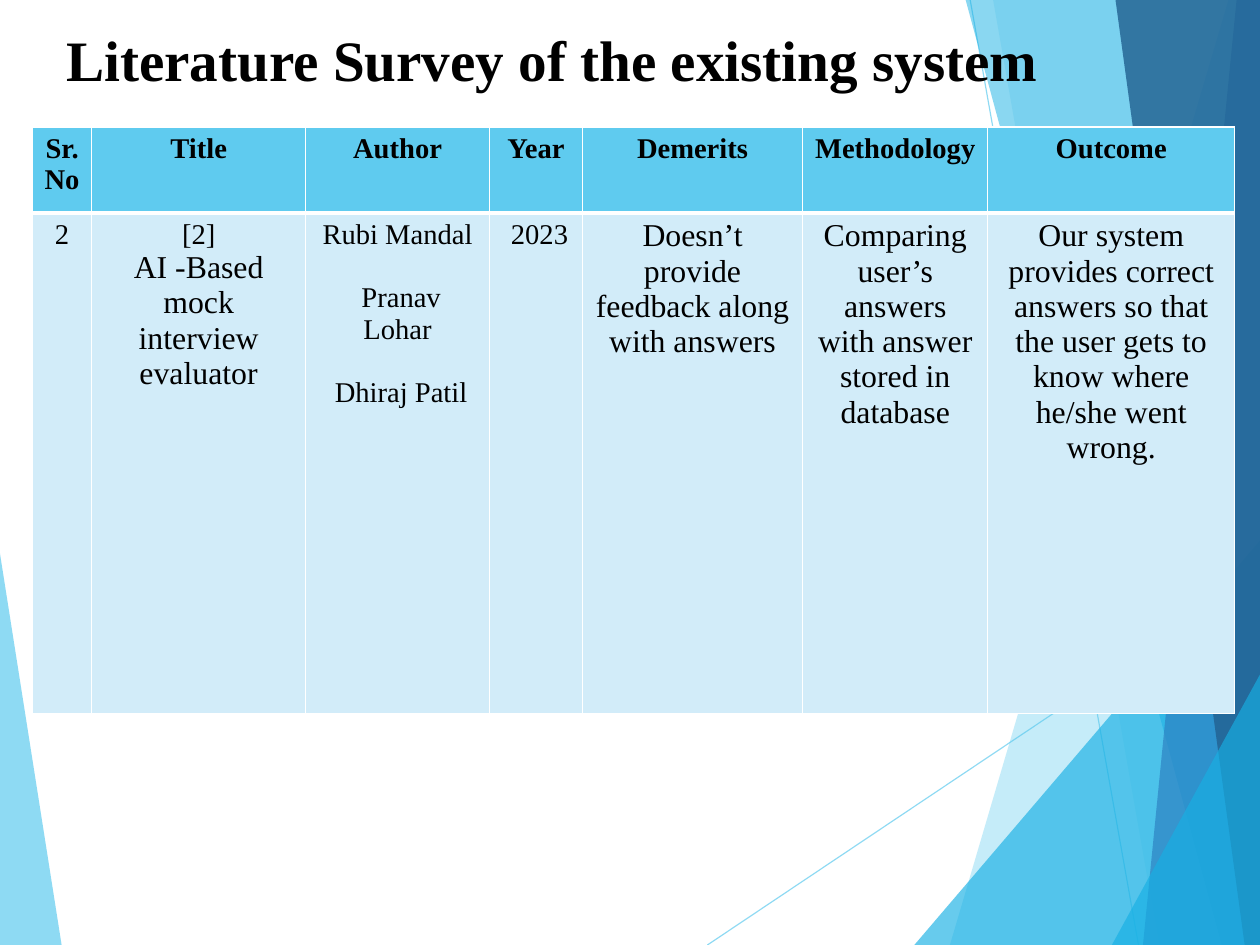
from lxml import etree
from pptx import Presentation
from pptx.dml.color import RGBColor
from pptx.enum.shapes import MSO_CONNECTOR
from pptx.enum.text import MSO_ANCHOR, MSO_AUTO_SIZE, PP_ALIGN
from pptx.oxml.ns import qn
from pptx.util import Cm, Pt

STRAIGHT = MSO_CONNECTOR.STRAIGHT
MIDDLE, TOP = MSO_ANCHOR.MIDDLE, MSO_ANCHOR.TOP
LEFT, CENTER = PP_ALIGN.LEFT, PP_ALIGN.CENTER
NO_AUTOFIT = MSO_AUTO_SIZE.NONE

BLACK = RGBColor(0x00, 0x00, 0x00)
WHITE = RGBColor(0xFF, 0xFF, 0xFF)
SKY = RGBColor(0x5F, 0xCB, 0xEF)
PALE_SKY = RGBColor(0xD2, 0xEC, 0xF9)
CYAN = RGBColor(0x17, 0xB0, 0xE4)
BLUE = RGBColor(0x2E, 0x83, 0xC3)
NAVY = RGBColor(0x23, 0x62, 0x92)

FONT = "Times New Roman"
WIDTH, HEIGHT = 28, 21  # slide size in cm


def write(paragraph, text, size=18, bold=False, align=CENTER, spacing=None, before=0):
    paragraph.text = text
    paragraph.alignment = align
    paragraph.space_before = Pt(before)
    if spacing:
        paragraph.line_spacing = spacing
    font = paragraph.font
    font.name, font.size, font.bold = FONT, Pt(size), bold
    font.color.rgb = BLACK


def set_opacity(fill_parent, percent):
    color = next(fill_parent.iter(qn("a:srgbClr")))
    etree.SubElement(color, qn("a:alpha")).set("val", str(percent * 1000))


class SurveySlide:
    def __init__(self, deck):
        self.slide = deck.slides.add_slide(deck.slide_layouts[5])
        self.shapes = self.slide.shapes

    def facet(self, points, color, opacity):
        start, *rest = [(Cm(x), Cm(y)) for x, y in points]
        builder = self.shapes.build_freeform(*start)
        builder.add_line_segments(rest, close=True)
        shape = builder.convert_to_shape()
        shape.shadow.inherit = False
        shape.fill.solid()
        shape.fill.fore_color.rgb = color
        shape.line.fill.background()
        set_opacity(shape._element.spPr, opacity)

    def band(self, top_x, bottom_x, color, opacity):
        """Facet over the full height, from a slanted side to the right edge."""
        self.facet([(top_x, 0), (bottom_x, HEIGHT), (WIDTH, HEIGHT), (WIDTH, 0)],
                   color, opacity)

    def wedge(self, bottom_x, right_y, color, opacity):
        """Triangle in the bottom right corner."""
        self.facet([(bottom_x, HEIGHT), (WIDTH, right_y), (WIDTH, HEIGHT)],
                   color, opacity)

    def ray(self, x1, y1, x2, y2):
        line = self.shapes.add_connector(STRAIGHT, Cm(x1), Cm(y1), Cm(x2), Cm(y2))
        line.line.color.rgb = SKY
        line.line.width = Pt(0.75)
        set_opacity(line._element.spPr, 70)
        etree.SubElement(line._element.spPr, qn("a:effectLst"))

    def title(self, text, left, top, width, height):
        heading = self.shapes.title
        self.shapes._spTree.append(heading._element)  # in front of the facets
        heading.left, heading.top = Cm(left), Cm(top)
        heading.width, heading.height = Cm(width), Cm(height)
        frame = heading.text_frame
        frame.auto_size = NO_AUTOFIT
        frame.word_wrap = True
        frame.vertical_anchor = MIDDLE
        frame.margin_left = frame.margin_right = frame.margin_bottom = 0
        frame.margin_top = Cm(0.08)
        write(frame.paragraphs[0], text, size=36, bold=True, align=LEFT, spacing=0.93)

    def cell(self, cell, lines, fill, borders, bold, gap):
        cell.fill.solid()
        cell.fill.fore_color.rgb = fill
        cell.vertical_anchor = TOP
        frame = cell.text_frame
        for i, (text, size) in enumerate(lines):
            paragraph = frame.add_paragraph() if i else frame.paragraphs[0]
            write(paragraph, text, size=size, bold=bold, before=gap if i else 0)
        # Border lines come before the fill in the cell properties
        for i, (side, points) in enumerate(borders.items()):
            border = etree.Element(qn(f"a:{side}"), w=str(Pt(points)))
            solid = etree.SubElement(border, qn("a:solidFill"))
            etree.SubElement(solid, qn("a:srgbClr"), val=str(WHITE))
            cell._tc.tcPr.insert(i, border)

    def table(self, left, top, columns, heights):
        widths = [width for width, *_ in columns]
        table = self.shapes.add_table(len(heights), len(columns), Cm(left), Cm(top),
                                      Cm(sum(widths)), Cm(sum(heights))).table
        table.horz_banding = False
        for row, height in zip(table.rows, heights):
            row.height = Cm(height)
        header_borders = {"lnL": 1, "lnR": 1, "lnT": 1, "lnB": 3}
        entry_borders = {"lnL": 1, "lnR": 1, "lnT": 3, "lnB": 1}
        for i, (width, header, entry, gap) in enumerate(columns):
            table.columns[i].width = Cm(width)
            header_lines = [(line, 18) for line in header]
            self.cell(table.cell(0, i), header_lines, SKY, header_borders, True, 0)
            self.cell(table.cell(1, i), entry, PALE_SKY, entry_borders, False, gap)


# Column width, header lines, entry lines with sizes, gap between entry lines
COLUMNS = [
    (1.32, ["Sr.", "No"], [("2", 18)], 0),
    (4.75, ["Title"], [("[2]", 18), ("AI -Based mock interview evaluator", 20)], 0),
    (4.09, ["Author"],
     [("Rubi Mandal", 18), (" Pranav Lohar", 18), (" Dhiraj Patil", 18)], 20),
    (2.06, ["Year"], [(" 2023", 18)], 0),
    (4.9, ["Demerits"], [("Doesn’t provide feedback along with answers", 20)], 0),
    (4.11, ["Methodology"],
     [("Comparing user’s answers with answer stored in database", 20)], 0),
    (5.49, ["Outcome"],
     [("Our system provides correct answers so that the user gets to know "
       "where he/she went wrong.", 20)], 0),
]


def main():
    deck = Presentation()
    deck.slide_width, deck.slide_height = Cm(WIDTH), Cm(HEIGHT)
    survey = SurveySlide(deck)

    # Faceted background
    survey.facet([(0, 12.3), (1.37, HEIGHT), (0, HEIGHT)], SKY, 70)
    survey.ray(15.72, HEIGHT, WIDTH, 12.78)
    survey.ray(21.56, 0, 25.3, HEIGHT)
    survey.band(27.3, 21.11, SKY, 36)
    survey.band(22.07, 25.76, SKY, 20)
    survey.wedge(20.32, 12.01, CYAN, 65)
    survey.band(21.46, 27.15, CYAN, 50)
    survey.band(27.48, 25.4, BLUE, 70)
    survey.band(24.79, 27.66, NAVY, 82)
    survey.wedge(24.71, 14.99, CYAN, 65)

    # Heading and survey table
    survey.title("Literature Survey of the existing system", 1.47, 0.15, 25.2, 2.41)
    survey.table(0.72, 2.82, COLUMNS, heights=[1.91, 11.13])

    deck.save("out.pptx")


if __name__ == "__main__":
    main()
